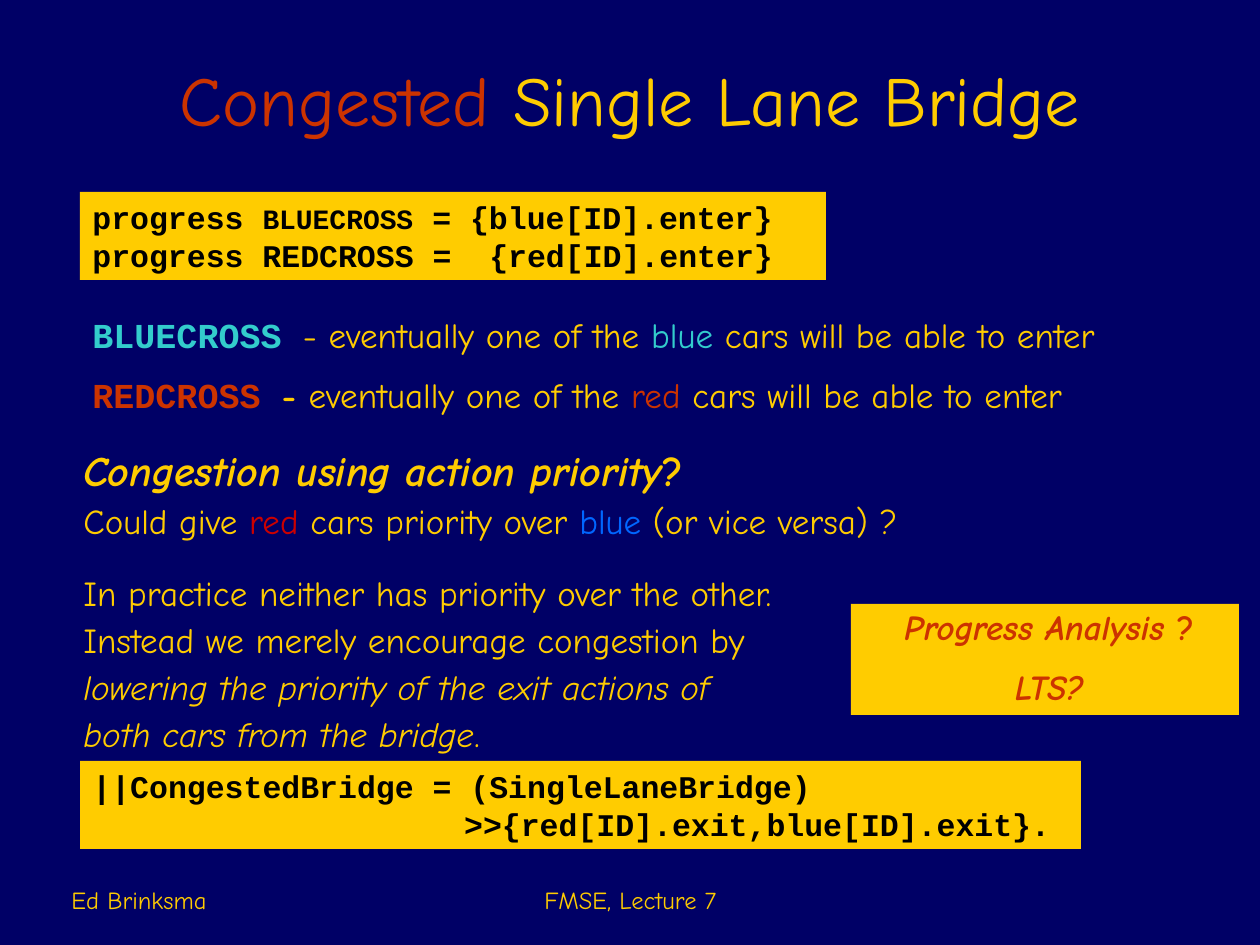
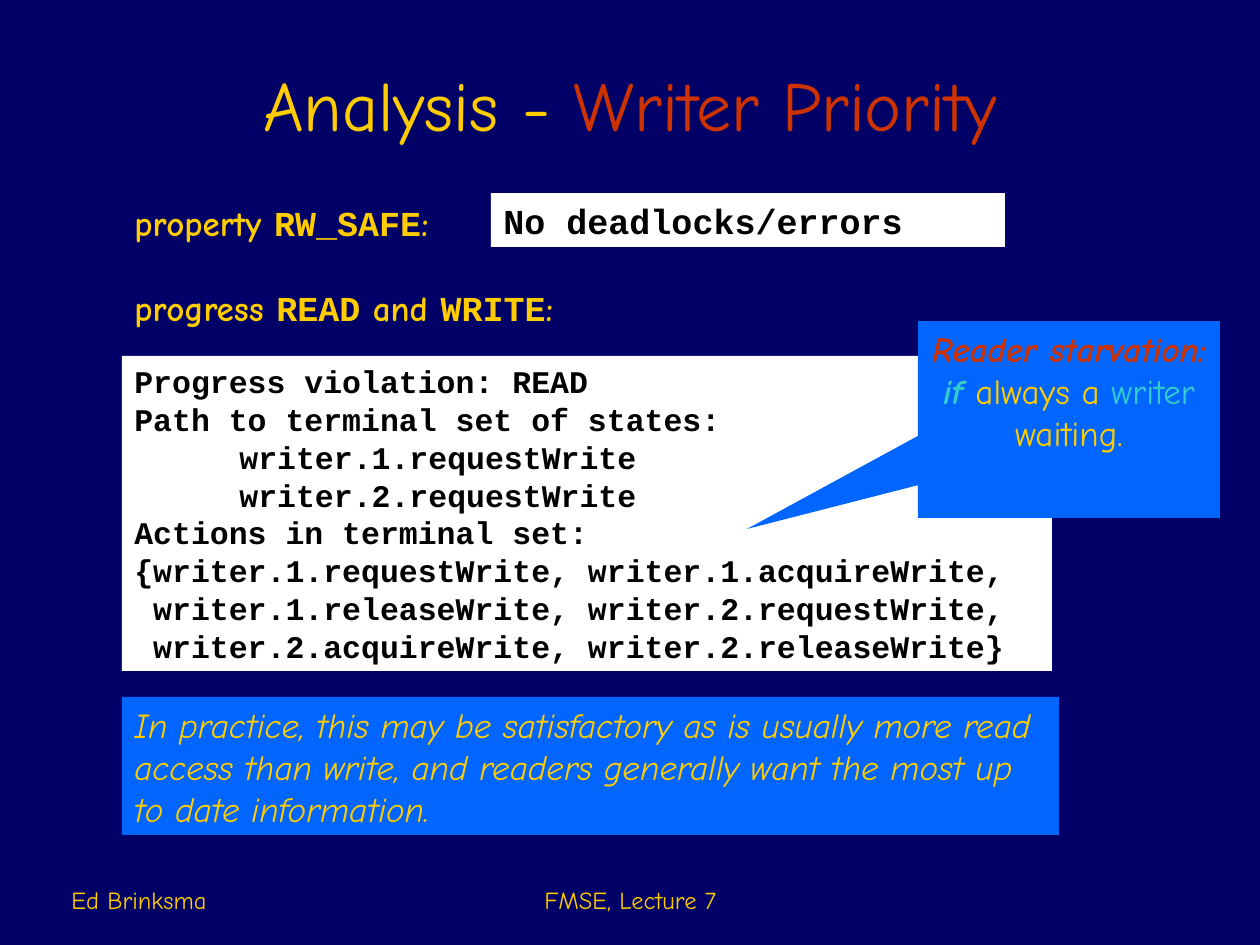
from collections import namedtuple
from dataclasses import dataclass
from functools import partial

from lxml import etree
from pptx import Presentation
from pptx.dml.color import RGBColor
from pptx.enum.shapes import MSO_SHAPE
from pptx.enum.text import MSO_ANCHOR, PP_ALIGN
from pptx.oxml.ns import qn
from pptx.util import Emu, Pt

RECTANGLE, CALLOUT = MSO_SHAPE.RECTANGLE, MSO_SHAPE.RECTANGULAR_CALLOUT
LEFT, CENTER = PP_ALIGN.LEFT, PP_ALIGN.CENTER
TOP, BOTTOM = MSO_ANCHOR.TOP, MSO_ANCHOR.BOTTOM

PX_PER_INCH = 126
PAGE_WIDTH, PAGE_HEIGHT = 1260, 945
TAB_STEP, TAB_COUNT = 105, 7
BLANK_LAYOUT = 6


@dataclass(frozen=True)
class Theme:
    navy: str = "000066"
    yellow: str = "FFCC00"
    rust: str = "CC3300"
    red: str = "CC0000"
    cyan: str = "33CCCC"
    blue: str = "0066FF"
    white: str = "FFFFFF"
    black: str = "000000"
    hand: str = "Comic Neue"
    mono: str = "Courier New"
    title: int = 40
    heading: int = 24
    body: int = 20
    code: int = 18
    small_code: int = 16
    footer: int = 14


THEME = Theme()


@dataclass(frozen=True)
class Span:
    text: str
    color: str = THEME.yellow
    size: int = THEME.body
    font: str = THEME.hand
    bold: bool = False
    italic: bool = False


@dataclass(frozen=True)
class Para:
    spans: tuple
    before: float = 0
    spacing: float = 1.0
    align: int = LEFT
    tabs: bool = False


class Box(namedtuple("Box", "left top width height")):
    def inner(self, left, top, width, height):
        """A box given relative to this one's top left corner."""
        return Box(self.left + left, self.top + top, width, height)


# Span kinds
bold = partial(Span, bold=True)
italic = partial(Span, italic=True)
strong = partial(Span, bold=True, italic=True)
mono = partial(Span, font=THEME.mono, bold=True)
code = partial(mono, color=THEME.black, size=THEME.code)


def px(length):
    return Emu(round(length * 914400 / PX_PER_INCH))


def rgb(color):
    return RGBColor.from_string(color)


# Text and shapes
def add_tabs(para):
    tab_list = etree.SubElement(para._p.get_or_add_pPr(), qn("a:tabLst"))
    for step in range(1, TAB_COUNT + 1):
        etree.SubElement(tab_list, qn("a:tab"), pos=str(px(step * TAB_STEP)), algn="l")


def write(shape, paras, anchor=TOP):
    frame = shape.text_frame
    frame.word_wrap = True
    frame.vertical_anchor = anchor
    for index, content in enumerate(paras):
        para = frame.add_paragraph() if index else frame.paragraphs[0]
        para.alignment = content.align
        para.line_spacing = content.spacing
        para.space_before = Pt(content.before)
        if content.tabs:
            add_tabs(para)
        for span in content.spans:
            run = para.add_run()
            run.text = span.text
            font = run.font
            font.name, font.size = span.font, Pt(span.size)
            font.bold, font.italic = span.bold, span.italic
            font.color.rgb = rgb(span.color)


def add_text(page, box, paras, anchor=TOP):
    write(page.shapes.add_textbox(*map(px, box)), paras, anchor)


def add_panel(page, box, fill, paras, kind=RECTANGLE):
    panel = page.shapes.add_shape(kind, *map(px, box))
    panel.shadow.inherit = False
    panel.fill.solid()
    panel.fill.fore_color.rgb = rgb(fill)
    panel.line.fill.background()
    write(panel, paras)
    return panel


def add_code(page, box, fill, lines):
    """Each line is a string or a tuple of spans."""
    add_panel(page, box, fill, [
        Para((code(line),) if isinstance(line, str) else line, tabs=True)
        for line in lines])


# Shared page frame
def new_page(deck, title_bottom, *title_spans):
    page = deck.slides.add_slide(deck.slide_layouts[BLANK_LAYOUT])
    page.background.fill.solid()
    page.background.fill.fore_color.rgb = rgb(THEME.navy)
    add_text(page, Box(94, 0, 1072, title_bottom),
             [Para(title_spans, align=CENTER)], BOTTOM)
    add_footer(page, Box(59, 858, 1142, 63))
    return page


def add_footer(page, box):
    for text, left, width, align in (("Ed Brinksma", 0, 262, LEFT),
                                     ("FMSE, Lecture 7", 372, 399, CENTER)):
        add_text(page, box.inner(left, 0, width, box.height),
                 [Para((Span(text, size=THEME.footer),), align=align)], BOTTOM)


# Congested bridge: progress properties and their meaning
def progress_properties(page, box):
    add_code(page, box.inner(0, 0, 746, 88), THEME.yellow, [
        (code("progress "), code("BLUECROSS", size=THEME.small_code),
         code(" = {blue[ID].enter}")),
        "progress REDCROSS =  {red[ID].enter}"])
    ending = Span("cars will be able to enter")
    add_text(page, box.inner(0, 120, box.width, 111), [
        Para((mono("BLUECROSS ", THEME.cyan), Span("- eventually one of the "),
              Span("blue ", THEME.cyan), ending), spacing=0.9),
        Para((mono("REDCROSS ", THEME.rust), bold("- "),
              Span("eventually one of the "), Span("red ", THEME.rust), ending),
             before=12.5, spacing=0.9)])


# Congested bridge: how congestion is modelled
def congestion_argument(page, box):
    rows = [
        (0, strong("Congestion using action priority", size=THEME.heading),
         bold("?", size=THEME.heading)),
        (12.5, Span("Could give "), Span("red", THEME.red),
         Span(" cars priority over "), Span("blue ", THEME.blue),
         Span("(or vice versa) ?")),
        (26.8, Span("In practice neither has priority over the other.")),
        (12.5, Span("Instead we merely encourage congestion by")),
        (12.5, italic("lowering the priority of the exit actions of")),
        (12.5, italic("both cars from the bridge"), Span(".")),
    ]
    add_text(page, box, [Para(tuple(spans), before, 0.6) for before, *spans in rows])


def open_questions(page, box):
    panel = add_panel(page, box, THEME.yellow, [
        Para((strong("Progress Analysis ", THEME.rust), bold("?", THEME.rust)),
             spacing=0.9, align=CENTER),
        Para((strong("LTS?", THEME.rust),), 12.5, 0.9, CENTER)])
    panel.text_frame.margin_left = px(21)


def congested_bridge(deck):
    page = new_page(deck, 147, Span("Congested", THEME.rust, THEME.title),
                    Span(" Single Lane Bridge", size=THEME.title))
    progress_properties(page, Box(80, 192, 1114, 231))
    add_code(page, Box(80, 761, 1001, 88), THEME.yellow, [
        "||CongestedBridge = (SingleLaneBridge)",
        "\t\t\t   >>{red[ID].exit,blue[ID].exit}."])
    open_questions(page, Box(851, 604, 388, 111))
    congestion_argument(page, Box(71, 456, 928, 338))


# Writer priority: checked properties
def checked_properties(page, box):
    add_panel(page, box.inner(369, 0, 514, 54), THEME.white,
              [Para((code("No deadlocks/errors", size=THEME.body),))])
    rows = [(bold("property "), mono("RW_SAFE"), bold(":")),
            (bold("progress "), mono("READ"), bold(" and "), mono("WRITE"), bold(":"))]
    for index, spans in enumerate(rows):
        add_text(page, box.inner(0, 2 + 85 * index, box.width, 55), [Para(spans)])


# Writer priority: violation trace
def violation_trace(page, box):
    add_code(page, box, THEME.white, [
        "Progress violation: READ",
        "Path to terminal set of states:",
        "\twriter.1.requestWrite",
        "\twriter.2.requestWrite",
        "Actions in terminal set:",
        "{writer.1.requestWrite, writer.1.acquireWrite,",
        " writer.1.releaseWrite, writer.2.requestWrite,",
        " writer.2.acquireWrite, writer.2.releaseWrite}"])


def starvation_callout(page, box, tip_left, tip_top):
    callout = add_panel(page, box, THEME.blue, [Para((
        strong("Reader starvation:", THEME.rust), strong(" if ", THEME.cyan),
        Span("always a "), Span("writer ", THEME.cyan), Span("waiting.")),
        align=CENTER)], CALLOUT)
    callout.adjustments[0] = tip_left / box.width - 0.5
    callout.adjustments[1] = tip_top / box.height - 0.5


def writer_priority(deck):
    page = new_page(deck, 152, Span("Analysis - ", size=THEME.title),
                    Span("Writer Priority", THEME.rust, THEME.title))
    violation_trace(page, Box(122, 356, 930, 315))
    checked_properties(page, Box(122, 193, 979, 142))
    add_panel(page, Box(122, 697, 937, 138), THEME.blue, [Para((italic(
        "In practice, this may be satisfactory as is usually more read access "
        "than write, and readers generally want the most up to date "
        "information."),))])
    starvation_callout(page, Box(918, 321, 302, 197), -171, 208)


def main():
    deck = Presentation()
    deck.slide_width, deck.slide_height = px(PAGE_WIDTH), px(PAGE_HEIGHT)
    congested_bridge(deck)
    writer_priority(deck)
    deck.save("out.pptx")


if __name__ == "__main__":
    main()
